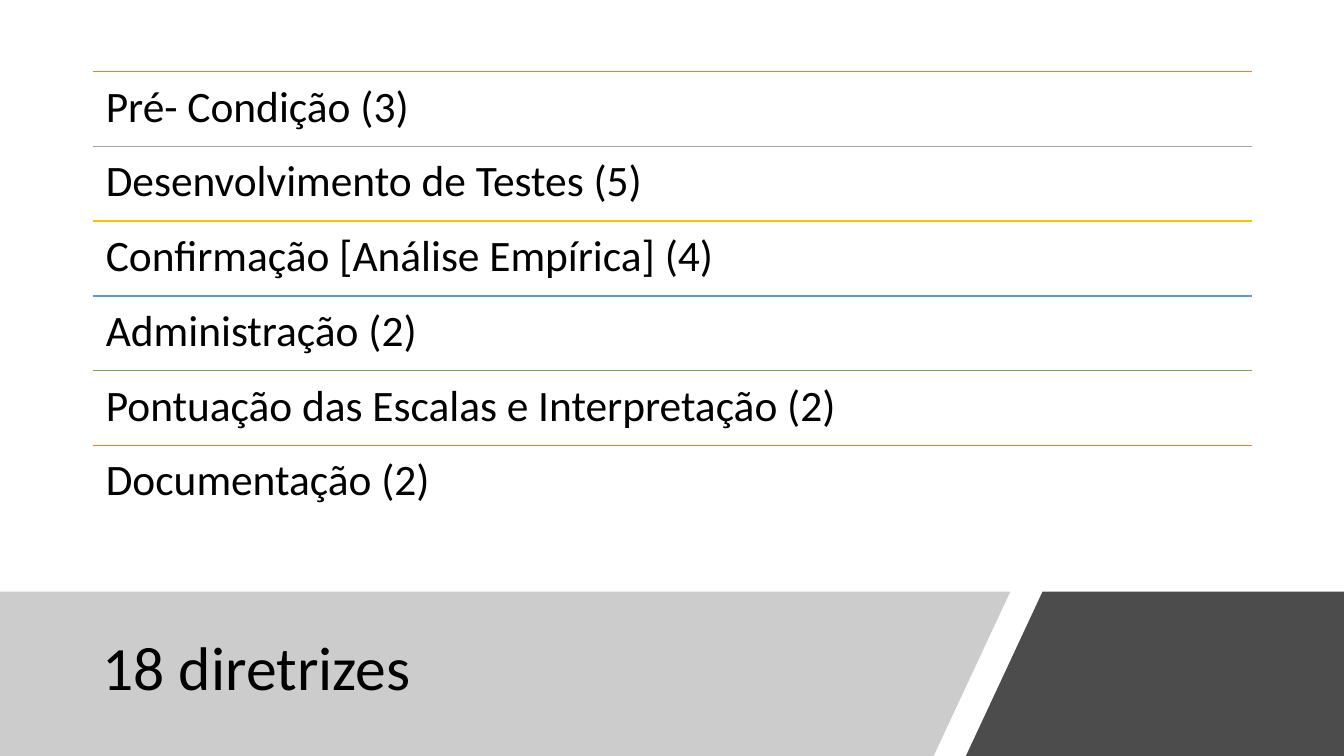
"""Build the slide that lists the 18 guidelines by category."""
import pptx
import pptx.util
import pptx.dml.color
import pptx.enum.text
import pptx.oxml
import pptx.oxml.ns

Inches = pptx.util.Inches
RGBColor = pptx.dml.color.RGBColor
Anchor = pptx.enum.text.MSO_ANCHOR

BLACK = RGBColor(0x00, 0x00, 0x00)
GRAY = RGBColor(0x80, 0x80, 0x80)
ORANGE = RGBColor(0xED, 0x7D, 0x31)
SILVER = RGBColor(0xA5, 0xA5, 0xA5)
GOLD = RGBColor(0xFF, 0xC0, 0x00)
BLUE = RGBColor(0x5B, 0x9B, 0xD5)
GREEN = RGBColor(0x70, 0xAD, 0x47)

SLIDE_WIDTH, SLIDE_HEIGHT = 13.33, 7.5
LEFT, LIST_WIDTH = 0.92, 11.5
LIST_TOP, LIST_HEIGHT = 0.71, 4.45
BAND_TOP = 5.87

deck = pptx.Presentation()
deck.slide_width = Inches(SLIDE_WIDTH)
deck.slide_height = Inches(SLIDE_HEIGHT)
slide = deck.slides.add_slide(deck.slide_layouts[6])


def add_band(corners, color, opacity):
    outline = slide.shapes.build_freeform(
        Inches(corners[0][0]), Inches(corners[0][1]), scale=1.0)
    outline.add_line_segments([(Inches(x), Inches(y)) for x, y in corners[1:]])
    band = outline.convert_to_shape()
    band.shadow.inherit = False
    band.line.fill.background()
    band.fill.solid()
    band.fill.fore_color.rgb = color
    tint = band.element.spPr.find(".//" + pptx.oxml.ns.qn("a:srgbClr"))
    tint.append(pptx.oxml.parse_xml(
        f'<a:alpha {pptx.oxml.ns.nsdecls("a")} val="{opacity * 1000}"/>'))


def add_label(text, box, size, frame_format):
    frame = slide.shapes.add_textbox(*map(Inches, box)).text_frame
    for name, value in {"word_wrap": True, **frame_format}.items():
        setattr(frame, name, value)
    paragraph = frame.paragraphs[0]
    paragraph.text = text
    paragraph.line_spacing = 0.9
    font_format = {"name": "Calibri", "size": pptx.util.Pt(size)}
    for name, value in font_format.items():
        setattr(paragraph.font, name, value)
    paragraph.font.color.rgb = BLACK


add_band([(0, BAND_TOP), (10.02, BAND_TOP), (9.26, SLIDE_HEIGHT), (0, SLIDE_HEIGHT)],
         GRAY, 40)
add_label("18 diretrizes", (LEFT, 6.05, 8.44, 1.2), 44,
          {"vertical_anchor": Anchor.MIDDLE})
add_band([(10.34, BAND_TOP), (SLIDE_WIDTH, BAND_TOP), (SLIDE_WIDTH, SLIDE_HEIGHT),
          (9.58, SLIDE_HEIGHT)], BLACK, 70)

categories = [
    ("Pré- Condição (3)", ORANGE),
    ("Desenvolvimento de Testes (5)", SILVER),
    ("Confirmação [Análise Empírica] (4)", GOLD),
    ("Administração (2)", BLUE),
    ("Pontuação das Escalas e Interpretação (2)", GREEN),
    ("Documentação (2)", ORANGE),
]
row_height = LIST_HEIGHT / len(categories)
row_format = {"vertical_anchor": Anchor.TOP}
for side in ("left", "top", "right", "bottom"):
    row_format[f"margin_{side}"] = Inches(0.13)

for row, (category, color) in enumerate(categories):
    top = LIST_TOP + row * row_height
    rule = slide.shapes.add_connector(
        pptx.enum.shapes.MSO_CONNECTOR.STRAIGHT,
        Inches(LEFT), Inches(top), Inches(LEFT + LIST_WIDTH), Inches(top))
    rule.line.color.rgb = color
    rule.line.width = pptx.util.Pt(1)
    rule.element.spPr.append(pptx.oxml.parse_xml(
        f'<a:effectLst {pptx.oxml.ns.nsdecls("a")}/>'))
    add_label(category, (LEFT, top, LIST_WIDTH, row_height), 31, row_format)

deck.save("out.pptx")
